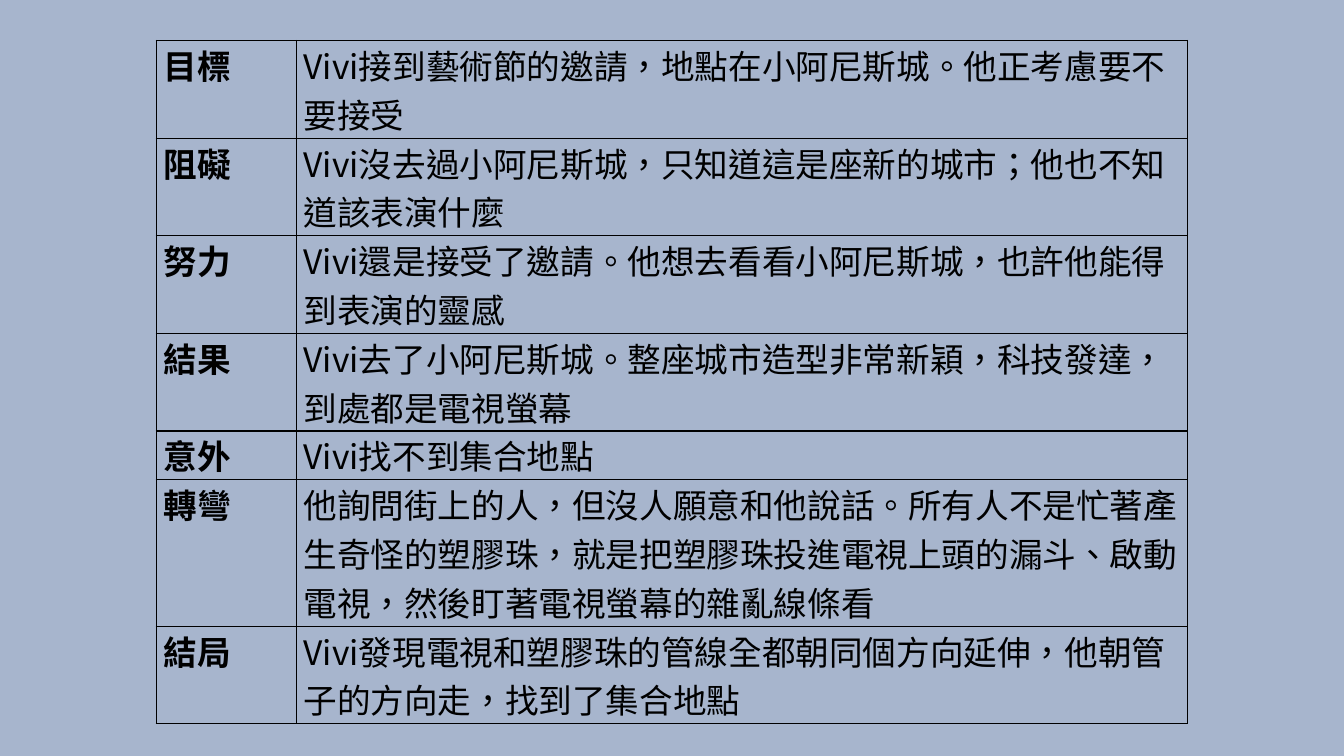
from lxml.etree import SubElement
from pptx import Presentation
from pptx.dml.color import RGBColor
from pptx.oxml.ns import qn
from pptx.util import Cm, Pt

FONT = "Noto Sans CJK SC"
COLORS = {"back": "A7B5CD", "ink": "000000"}
LEFT, TOP = 3.94, 1.02
WIDTHS = [3.53, 22.45]
LINE = 1.23
STORY = [
    ("目標", "Vivi接到藝術節的邀請，地點在小阿尼斯城。他正考慮要不要接受", 2),
    ("阻礙", "Vivi沒去過小阿尼斯城，只知道這是座新的城市；他也不知道該表演什麼", 2),
    ("努力", "Vivi還是接受了邀請。他想去看看小阿尼斯城，也許他能得到表演的靈感", 2),
    ("結果", "Vivi去了小阿尼斯城。整座城市造型非常新穎，科技發達，到處都是電視螢幕", 2),
    ("意外", "Vivi找不到集合地點", 1),
    ("轉彎", "他詢問街上的人，但沒人願意和他說話。所有人不是忙著產生奇怪的塑膠珠，"
     "就是把塑膠珠投進電視上頭的漏斗、啟動電視，然後盯著電視螢幕的雜亂線條看", 3),
    ("結局", "Vivi發現電視和塑膠珠的管線全都朝同個方向延伸，他朝管子的方向走，找到了集合地點", 2),
]


def add_run(para, text, bold):
    run = para.add_run()
    run.text = text
    font = run.font
    font.size, font.bold, font.name = Pt(24), bold, FONT
    font.color.rgb = RGBColor.from_string(COLORS["ink"])
    props = run._r.get_or_add_rPr()
    props.set("lang", "zh-TW")
    SubElement(props, qn("a:ea"), typeface=FONT)


def add_edges(cell):
    props = cell._tc.get_or_add_tcPr()
    for side in "LRTB":
        edge = SubElement(props, qn(f"a:ln{side}"), w=str(Pt(1)))
        fill = SubElement(edge, qn("a:solidFill"))
        SubElement(fill, qn("a:srgbClr"), val=COLORS["ink"])


def fill_cell(cell, text, bold):
    cell.margin_left = cell.margin_right = Cm(0.18)
    cell.margin_top = cell.margin_bottom = 0
    add_edges(cell)
    cell.fill.background()
    add_run(cell.text_frame.paragraphs[0], text, bold)


def add_story(slide):
    high = LINE * sum(lines for _, _, lines in STORY)
    frame = slide.shapes.add_table(len(STORY), len(WIDTHS), Cm(LEFT), Cm(TOP),
                                   Cm(sum(WIDTHS)), Cm(high))
    table = frame.table
    table.first_row = table.horz_banding = False
    for col, width in zip(table.columns, WIDTHS):
        col.width = Cm(width)
    for row, (stage, event, lines) in zip(table.rows, STORY):
        row.height = Cm(LINE * lines)
        fill_cell(row.cells[0], stage, True)
        fill_cell(row.cells[1], event, False)


def main():
    deck = Presentation()
    deck.slide_width, deck.slide_height = Cm(33.87), Cm(19.05)
    slide = deck.slides.add_slide(deck.slide_layouts[6])
    back = slide.background.fill
    back.solid()
    back.fore_color.rgb = RGBColor.from_string(COLORS["back"])
    add_story(slide)
    deck.save("out.pptx")


if __name__ == "__main__":
    main()
